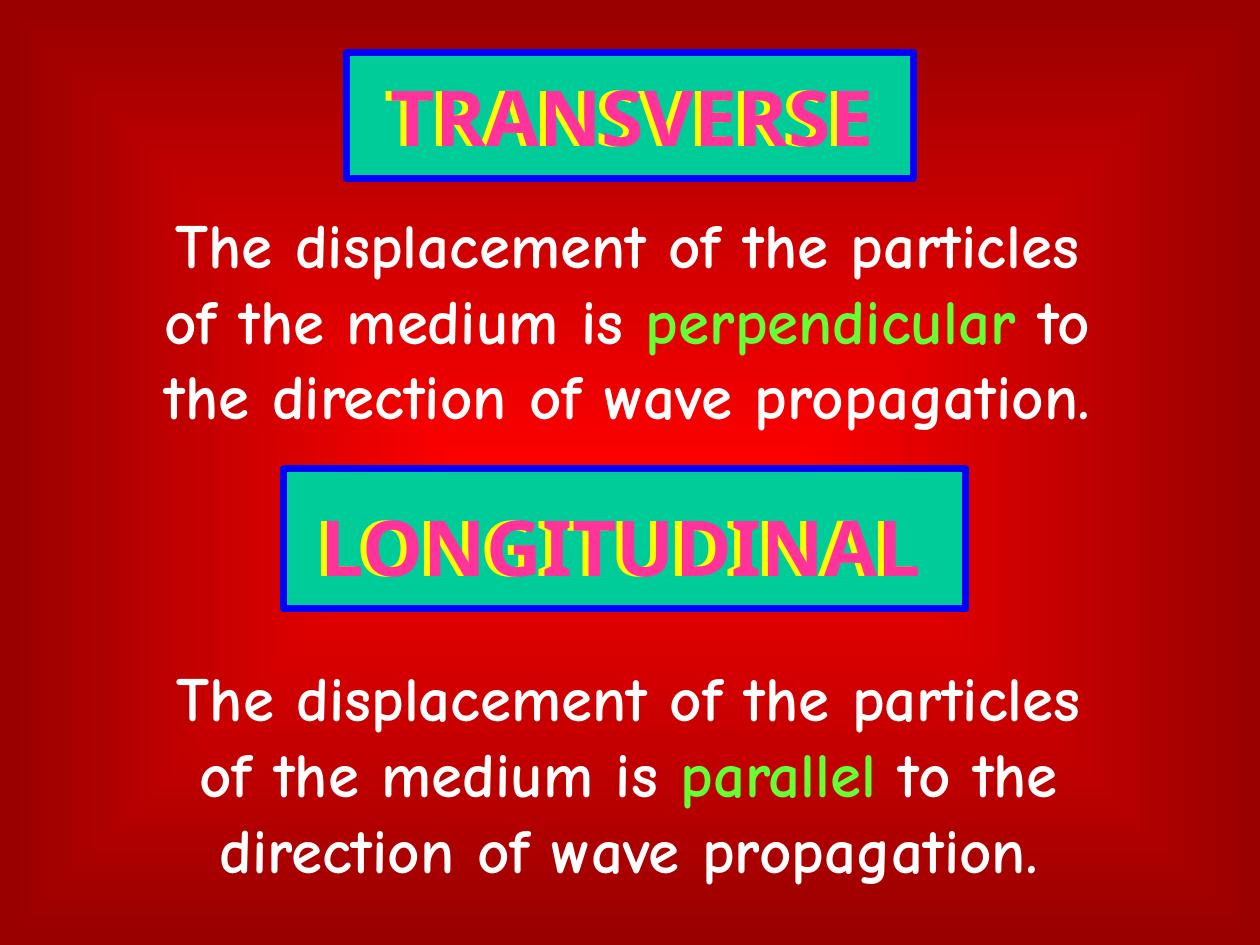
from dataclasses import dataclass

from pptx import Presentation
from pptx.dml.color import RGBColor
from pptx.enum.shapes import MSO_SHAPE
from pptx.enum.text import MSO_AUTO_SIZE, PP_ALIGN
from pptx.oxml import parse_xml
from pptx.oxml.ns import nsdecls, qn
from pptx.util import Pt

RECTANGLE = MSO_SHAPE.RECTANGLE
CENTER = PP_ALIGN.CENTER
FIT_SHAPE = MSO_AUTO_SIZE.SHAPE_TO_FIT_TEXT
BLANK_LAYOUT = 6


@dataclass(frozen=True)
class Theme:
    glow: str = "FF0000"
    edge: str = "990000"
    panel: str = "00CC99"
    border: str = "0000FF"
    heading: str = "FF3399"
    shadow: str = "FFFF00"
    body: str = "FFFFFF"
    keyword: str = "66FF33"
    heading_font: str = "Noto Sans"
    body_font: str = "Comic Neue"
    heading_size: int = 44
    body_size: int = 36


THEME = Theme()

# Each definition is a list of lines; each line holds (text, colour) parts.
TRANSVERSE = [
    [("The displacement of the particles", THEME.body)],
    [("of the medium is ", THEME.body), ("perpendicular ", THEME.keyword),
     ("to", THEME.body)],
    [("the direction of wave propagation.", THEME.body)],
]
LONGITUDINAL = [
    [("The displacement of the particles", THEME.body)],
    [("of the medium is ", THEME.body), ("parallel ", THEME.keyword),
     ("to the", THEME.body)],
    [("direction of wave propagation.", THEME.body)],
]


def rgb(value):
    return RGBColor.from_string(value)


def paint_background(slide):
    """Rectangular gradient, bright in the middle."""
    fill = slide.background.fill
    fill.gradient()
    for stop, colour in zip(fill.gradient_stops, (THEME.glow, THEME.edge)):
        stop.color.rgb = rgb(colour)
    linear = slide.element.find(".//" + qn("a:lin"))
    linear.getparent().replace(linear, parse_xml(
        f'<a:path {nsdecls("a")} path="rect">'
        '<a:fillToRect l="50000" t="50000" r="50000" b="50000"/></a:path>'))


def add_panel(slide, bounds):
    panel = slide.shapes.add_shape(RECTANGLE, *map(Pt, bounds))
    panel.shadow.inherit = False
    panel.fill.solid()
    panel.fill.fore_color.rgb = rgb(THEME.panel)
    panel.line.color.rgb = rgb(THEME.border)
    panel.line.width = Pt(4)


def add_lines(slide, bounds, lines, font_name, size):
    """Centred, unwrapped text with coloured parts."""
    box = slide.shapes.add_textbox(*map(Pt, bounds))
    frame = box.text_frame
    frame.word_wrap = False
    frame.auto_size = FIT_SHAPE
    font_format = {"name": font_name, "size": Pt(size), "bold": True}
    for index, parts in enumerate(lines):
        paragraph = frame.paragraphs[0] if index == 0 else frame.add_paragraph()
        paragraph.alignment = CENTER
        for text, colour in parts:
            run = paragraph.add_run()
            run.text = text
            for attribute, value in font_format.items():
                setattr(run.font, attribute, value)
            run.font.color.rgb = rgb(colour)
    return box


def add_heading(slide, panel_bounds, text_bounds, text):
    """Framed panel and its word, with a hard shadow to the left."""
    add_panel(slide, panel_bounds)
    heading = add_lines(slide, text_bounds, [[(text, THEME.heading)]],
                        THEME.heading_font, THEME.heading_size)
    heading.element.spPr.append(parse_xml(
        f'<a:effectLst {nsdecls("a")}>'
        f'<a:outerShdw dist="{Pt(3.5)}" dir="10800000" algn="ctr" '
        f'rotWithShape="0"><a:srgbClr val="{THEME.shadow}"/></a:outerShdw>'
        '</a:effectLst>'))


def add_definition(slide, bounds, lines):
    add_lines(slide, bounds, lines, THEME.body_font, THEME.body_size)


def main():
    presentation = Presentation()
    presentation.slide_width, presentation.slide_height = Pt(720), Pt(540)
    slide = presentation.slides.add_slide(
        presentation.slide_layouts[BLANK_LAYOUT])
    paint_background(slide)

    # Transverse waves
    add_definition(slide, (85.5, 114, 546, 136.8), TRANSVERSE)
    add_heading(slide, (198, 30, 324, 72), (216, 36, 291, 60), "TRANSVERSE")

    # Longitudinal waves
    add_heading(slide, (162, 268, 390, 80), (175.5, 282, 359, 60),
                "LONGITUDINAL")
    add_definition(slide, (93.5, 373, 531.5, 136.8), LONGITUDINAL)

    presentation.save("out.pptx")


if __name__ == "__main__":
    main()
